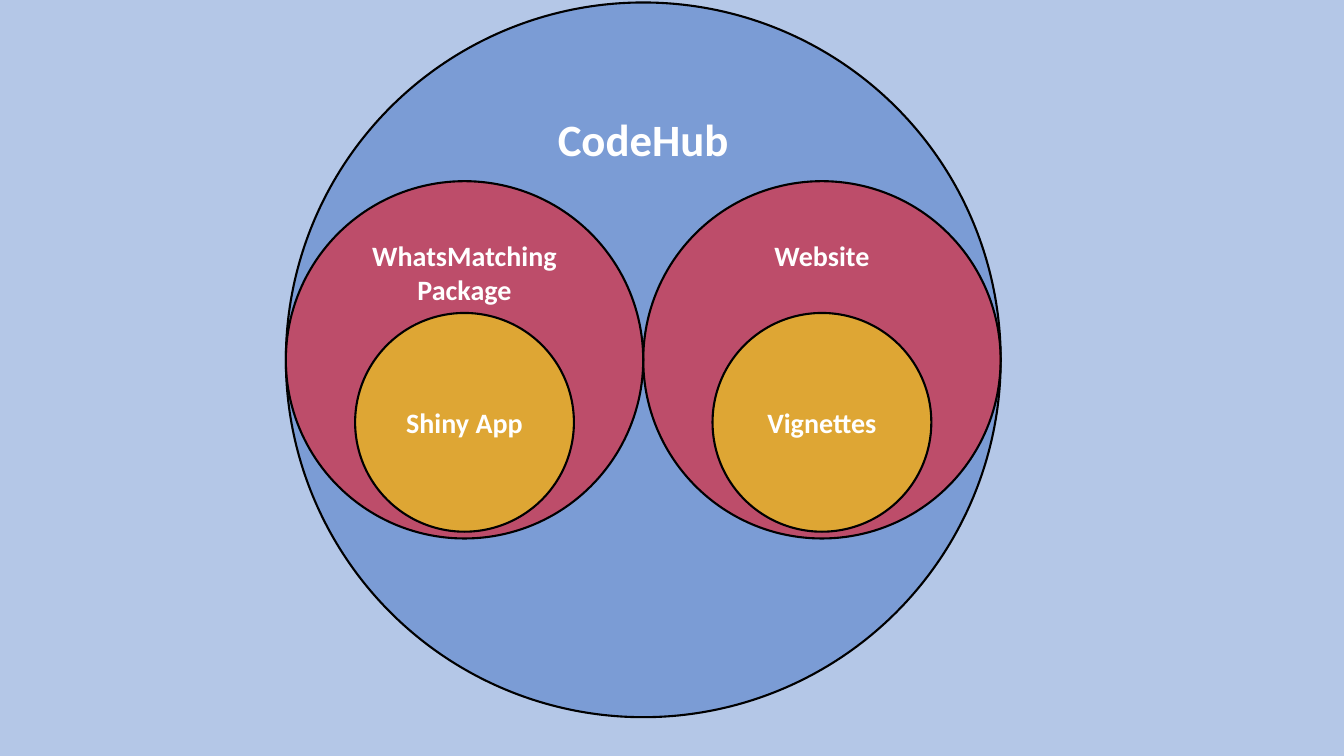
from dataclasses import dataclass
from lxml import etree
from pptx import Presentation
from pptx import util as u
from pptx.dml import color
from pptx.enum import shapes, text
from pptx.oxml import ns


@dataclass(frozen=True)
class Theme:
    font: str = "Calibri"
    back: str = "B4C7E7"
    outer: str = "4472C4"
    middle: str = "FF0000"
    inner: str = "FFFF00"
    edge: str = "000000"
    ink: str = "FFFFFF"
    title: int = 32
    label: int = 20
    line: float = 1.5
    alpha: int = 50


class Board:
    def __init__(self, slide, theme):
        self.slide = slide
        self.theme = theme
        self.paint(slide.background.fill, theme.back)

    def paint(self, fill, tone):
        fill.solid()
        fill.fore_color.rgb = color.RGBColor.from_string(tone)

    def circle(self, x, y, size, tone, label, points, anchor):
        theme = self.theme
        shape = self.slide.shapes.add_shape(
            shapes.MSO_SHAPE.OVAL, u.Inches(x - size / 2), u.Inches(y - size / 2),
            u.Inches(size), u.Inches(size))
        shape.shadow.inherit = False
        self.paint(shape.fill, tone)
        solid = shape.element.spPr.find(ns.qn("a:solidFill"))
        etree.SubElement(solid[0], ns.qn("a:alpha"), val=str(theme.alpha * 1000))
        self.paint(shape.line.fill, theme.edge)
        shape.line.width = u.Pt(theme.line)
        frame = shape.text_frame
        frame.text = label
        frame.word_wrap = True
        frame.vertical_anchor = anchor
        para = frame.paragraphs[0]
        para.alignment = text.PP_ALIGN.CENTER
        for run in para.runs:
            run.font.name = theme.font
            run.font.size = u.Pt(points)
            run.font.bold = True
            self.paint(run.font.fill, theme.ink)


deck = Presentation()
deck.slide_width, deck.slide_height = u.Inches(13.33), u.Inches(7.5)
theme = Theme()
board = Board(deck.slides.add_slide(deck.slide_layouts[6]), theme)
top, mid = text.MSO_ANCHOR.TOP, text.MSO_ANCHOR.MIDDLE

center, level, width = 6.38, 3.57, 7.09
half = width / 2
left, right = center - half / 2, center + half / 2

board.circle(center, level, width, theme.outer, "CodeHub", theme.title, top)
for x, label in ((right, "Website"), (left, "WhatsMatching Package")):
    board.circle(x, level, half, theme.middle, label, theme.label, top)
for x, label in ((left, "Shiny App"), (right, "Vignettes")):
    board.circle(x, 4.19, 2.17, theme.inner, label, theme.label, mid)

deck.save("out.pptx")
